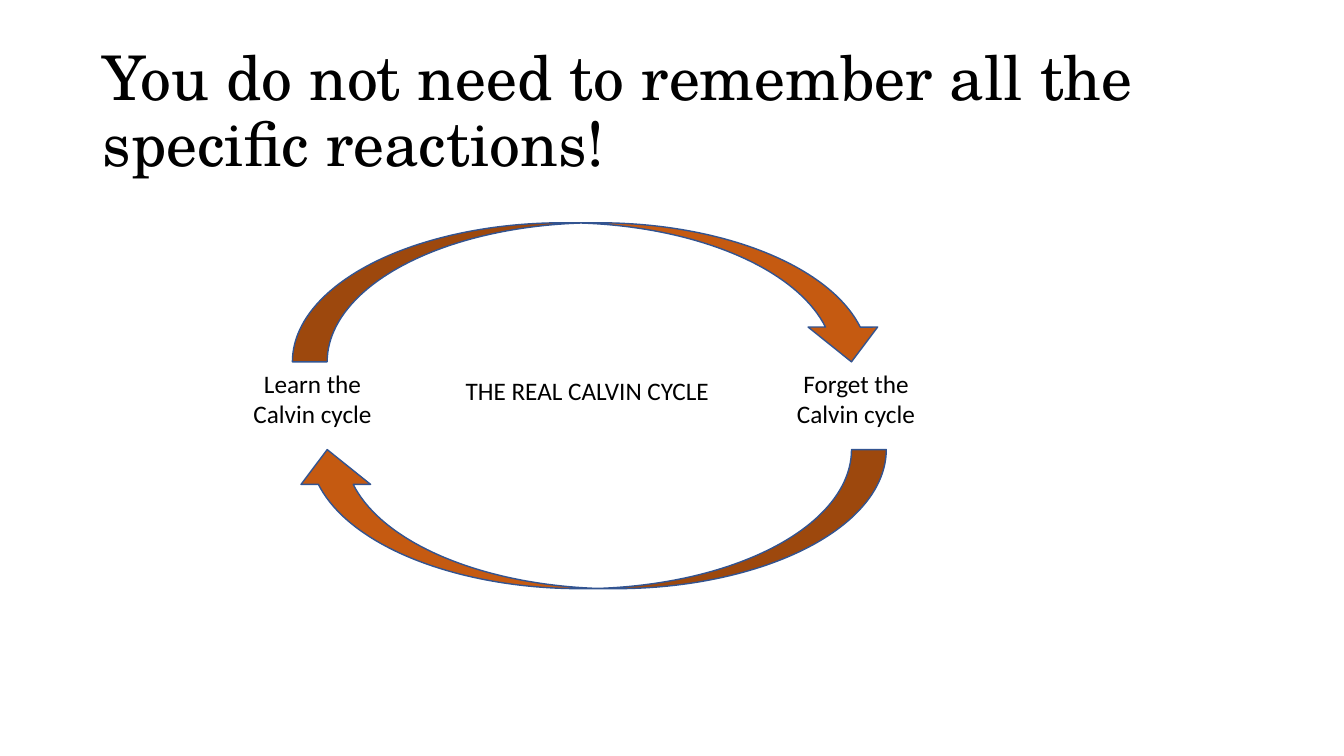
"""Build the slide that jokes about learning and forgetting the Calvin cycle."""
import pptx
import pptx.dml.color
import pptx.enum.shapes
import pptx.enum.text
import pptx.util

Inches = pptx.util.Inches
Pt = pptx.util.Pt
ALIGN = pptx.enum.text.PP_ALIGN
ANCHOR = pptx.enum.text.MSO_ANCHOR
AUTO_SIZE = pptx.enum.text.MSO_AUTO_SIZE

BLACK = pptx.dml.color.RGBColor(0x00, 0x00, 0x00)
ORANGE = pptx.dml.color.RGBColor(0xC5, 0x5A, 0x11)
BLUE = pptx.dml.color.RGBColor(0x32, 0x54, 0x91)


class CycleSlide:
    title_font = "TeX Gyre Schola"
    body_font = "Calibri"

    def __init__(self, presentation):
        self.slide = presentation.slides.add_slide(presentation.slide_layouts[5])

    def set_words(self, frame, text, font, size, align):
        frame.text = text
        paragraph = frame.paragraphs[0]
        paragraph.alignment = align
        for run in paragraph.runs:
            run.font.name = font
            run.font.size = Pt(size)
            run.font.color.rgb = BLACK
        return paragraph

    def title(self, text, left, top, width, height):
        heading = self.slide.shapes.title
        heading.left, heading.top = Inches(left), Inches(top)
        heading.width, heading.height = Inches(width), Inches(height)
        frame = heading.text_frame
        frame.word_wrap = True
        frame.auto_size = AUTO_SIZE.NONE
        frame.vertical_anchor = ANCHOR.MIDDLE
        paragraph = self.set_words(frame, text, self.title_font, 44, ALIGN.LEFT)
        paragraph.line_spacing = 0.9

    def label(self, text, left, top, width, height, align=ALIGN.CENTER, wrap=True):
        box = self.slide.shapes.add_textbox(
            Inches(left), Inches(top), Inches(width), Inches(height))
        frame = box.text_frame
        frame.word_wrap = wrap
        frame.auto_size = AUTO_SIZE.SHAPE_TO_FIT_TEXT
        self.set_words(frame, text, self.body_font, 18, align)

    def curved_arrow(self, top, rotation):
        arrow = self.slide.shapes.add_shape(
            pptx.enum.shapes.MSO_SHAPE.CURVED_DOWN_ARROW,
            Inches(2.9), Inches(top), Inches(5.89), Inches(1.38))
        arrow.rotation = rotation
        arrow.shadow.inherit = False
        arrow.fill.solid()
        arrow.fill.fore_color.rgb = ORANGE
        arrow.line.color.rgb = BLUE
        arrow.line.width = Pt(1)


def main():
    presentation = pptx.Presentation()
    presentation.slide_width = Inches(13.33)
    presentation.slide_height = Inches(7.5)

    cycle = CycleSlide(presentation)
    cycle.title("You do not need to remember all the specific reactions!",
                0.92, 0.4, 11.5, 1.45)
    for top, rotation in ((2.21, 0), (4.46, 180)):
        cycle.curved_arrow(top, rotation)
    for step, left in (("Learn", 2.33), ("Forget", 7.72)):
        cycle.label(f"{step} the Calvin cycle", left, 3.6, 1.54, 0.71)
    cycle.label("THE REAL CALVIN CYCLE", 4.52, 3.67, 2.64, 0.4,
                align=ALIGN.LEFT, wrap=False)

    presentation.save("out.pptx")


if __name__ == "__main__":
    main()
